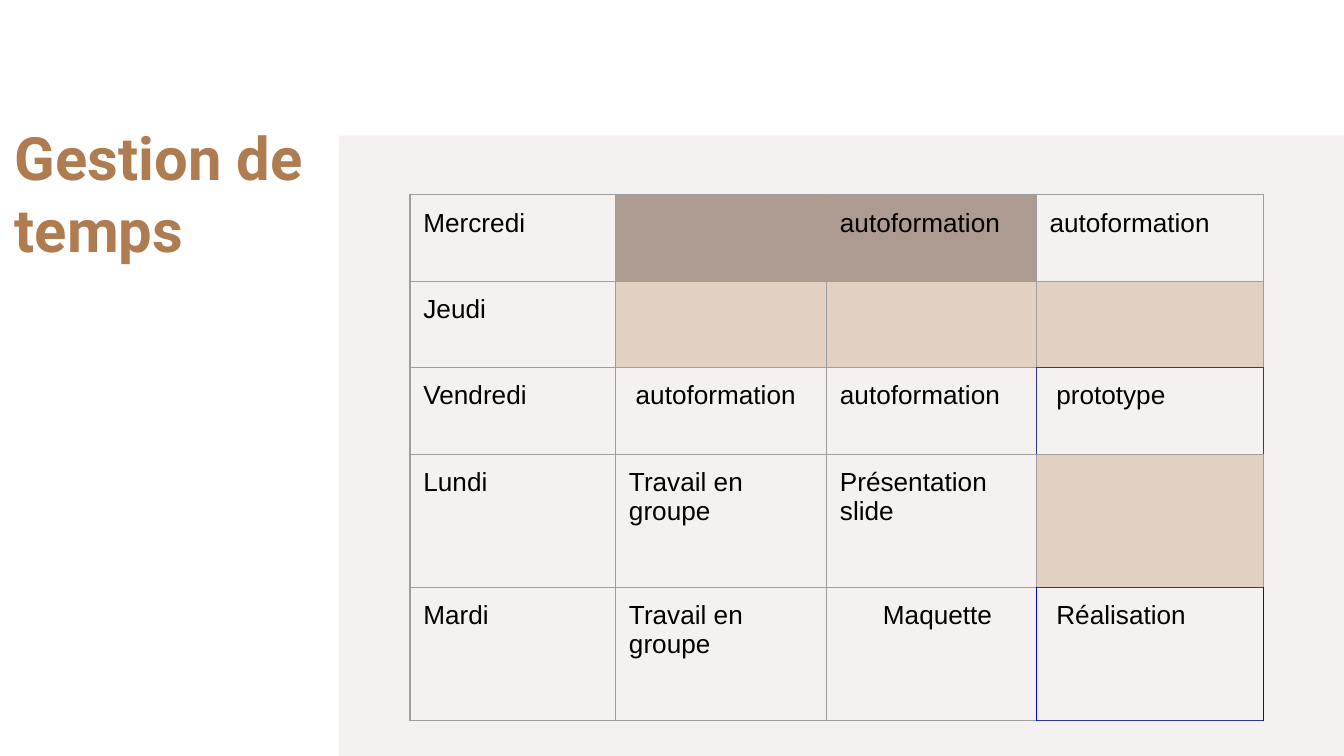
import pptx
import pptx.dml.color
import pptx.enum.shapes
import pptx.oxml
import pptx.oxml.ns
import pptx.util

WIDTH = 10
HEIGHT = WIDTH * 9 / 16
TITLE = "Gestion de temps"
PANEL, BROWN, TAUPE, SAND = "F5F1F0", "AF7B51", "AD9B91", "E2D1C2"
GREY, NAVY, BLUE = "9E9E9E", "2A3990", "0000FF"

SCHEDULE = [
    ("Mercredi", "", "autoformation", "autoformation"),
    ("Jeudi", "", "", ""),
    ("Vendredi", "autoformation", "autoformation", "prototype"),
    ("Lundi", "Travail en groupe", "Présentation slide", ""),
    ("Mardi", "Travail en groupe", "Maquette", "Réalisation"),
]
COLUMN_WIDTHS = (1.53, 1.57, 1.56, 1.69)
TABLE_HEIGHT, TALL_ROW = 3.91, 0.99
SHORT_ROW = (TABLE_HEIGHT - 2 * TALL_ROW) / 3
ROW_HEIGHTS = [SHORT_ROW] * 3 + [TALL_ROW] * 2

# Keyed by (row, column)
FILLS = {(0, 1): TAUPE, (0, 2): TAUPE,
         (1, 1): SAND, (1, 2): SAND, (1, 3): SAND, (3, 3): SAND}
INDENTS = {(2, 1): 0.05, (2, 3): 0.05, (4, 2): 0.32, (4, 3): 0.05}
BORDERS = {
    (0, 1): {"R": TAUPE},
    (0, 2): {"L": TAUPE},
    (1, 3): {"B": NAVY},
    (2, 2): {"R": NAVY},
    (2, 3): {"L": NAVY, "T": NAVY, "R": NAVY},
    (3, 3): {"B": NAVY},
    (4, 2): {"R": BLUE},
    (4, 3): {"L": BLUE, "T": NAVY, "R": BLUE, "B": NAVY},
}

inches = pptx.util.Inches


def paint(fill, color):
    fill.solid()
    fill.fore_color.rgb = pptx.dml.color.RGBColor.from_string(color)


def add_span(para, text, size, font, color, bold=False):
    span = para.add_run()
    span.text = text
    span.font.size = pptx.util.Pt(size)
    span.font.name = font
    span.font.bold = bold
    paint(span.font.fill, color)


def set_borders(cell, colors):
    """Outline a cell in grey, except for the sides given in colors."""
    properties = cell._tc.get_or_add_tcPr()
    for place, side in enumerate("LRTB"):
        properties.insert(place, pptx.oxml.parse_xml(
            f'<a:ln{side} {pptx.oxml.ns.nsdecls("a")} w="{pptx.util.Pt(0.75)}">'
            f'<a:solidFill><a:srgbClr val="{colors.get(side, GREY)}"/></a:solidFill>'
            f'</a:ln{side}>'))


def add_panel(page):
    left, top = 2.52, 1.01
    panel = page.shapes.add_shape(
        pptx.enum.shapes.MSO_SHAPE.RECTANGLE, inches(left), inches(top),
        inches(WIDTH - left), inches(HEIGHT - top))
    panel.shadow.inherit = False
    paint(panel.fill, PANEL)
    panel.line.fill.background()


def add_title(page):
    box = page.shapes.add_textbox(
        inches(0.11), inches(0.9), inches(2.17), inches(2.48))
    frame = box.text_frame
    frame.word_wrap = True
    frame.margin_left = frame.margin_right = 0
    frame.margin_top = frame.margin_bottom = 0
    add_span(frame.paragraphs[0], TITLE, 32, "Roboto", BROWN, bold=True)


def add_schedule(page):
    table = page.shapes.add_table(
        len(ROW_HEIGHTS), len(COLUMN_WIDTHS), inches(3.05), inches(1.45),
        inches(sum(COLUMN_WIDTHS)), inches(TABLE_HEIGHT)).table
    table.first_row = table.horz_banding = False
    for column, width in zip(table.columns, COLUMN_WIDTHS):
        column.width = inches(width)
    for row, height in zip(table.rows, ROW_HEIGHTS):
        row.height = inches(height)

    for r, texts in enumerate(SCHEDULE):
        for c, text in enumerate(texts):
            cell = table.cell(r, c)
            cell.margin_left = cell.margin_right = inches(0.1)
            cell.margin_top = cell.margin_bottom = inches(0.1)
            if (r, c) in FILLS:
                paint(cell.fill, FILLS[r, c])
            else:
                cell.fill.background()
            set_borders(cell, BORDERS.get((r, c), {}))
            if text:
                para = cell.text_frame.paragraphs[0]
                indent = inches(INDENTS.get((r, c), 0))
                para._p.get_or_add_pPr().set("marL", str(indent))
                add_span(para, text, 14, "Arial", "000000")


def main():
    deck = pptx.Presentation()
    deck.slide_width, deck.slide_height = inches(WIDTH), inches(HEIGHT)
    page = deck.slides.add_slide(deck.slide_layouts[6])
    add_panel(page)
    add_title(page)
    add_schedule(page)
    deck.save("out.pptx")


if __name__ == "__main__":
    main()
